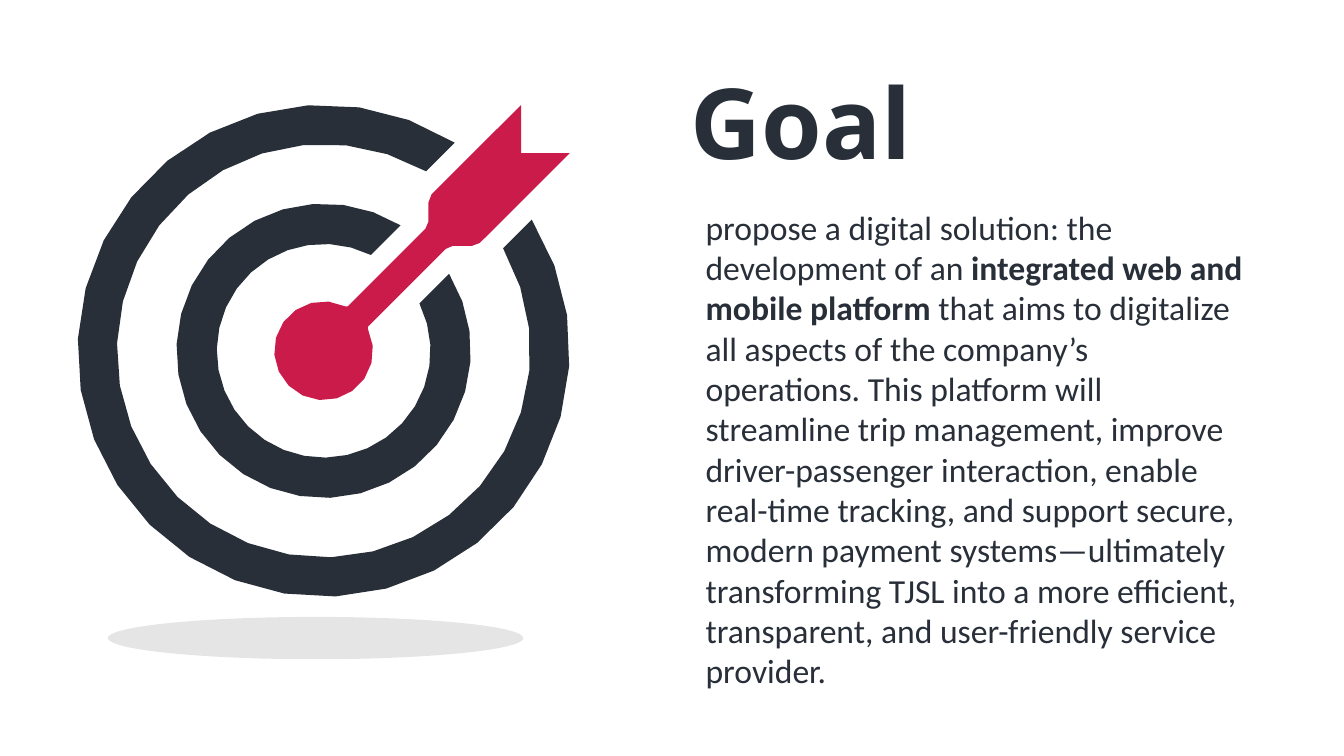
from dataclasses import dataclass
from math import asin, cos, degrees, radians, sin

from lxml.etree import SubElement
from pptx import Presentation
from pptx.dml.color import RGBColor
from pptx.enum.shapes import MSO_SHAPE as Preset
from pptx.enum.text import MSO_AUTO_SIZE as AutoSize, PP_ALIGN as Align
from pptx.oxml.ns import qn
from pptx.util import Inches, Pt


@dataclass(frozen=True)
class Theme:
    ink: RGBColor = RGBColor.from_string("282F39")
    accent: RGBColor = RGBColor.from_string("CB1B4A")
    shade: RGBColor = RGBColor.from_string("000000")
    shade_opacity: int = 10
    title_font: str = "Noto Sans"
    body_font: str = "Calibri"
    title_size: int = 70
    body_size: int = 24


CENTER_X, CENTER_Y = 3.21, 3.48
AIM = 45
BULL_RADIUS, BULL_GAP = 0.49, 19
RING_STEPS, BULL_STEPS = 28, 16
RINGS = [(2.44, 2.05, 0.54), (1.46, 1.06, 0.34)]
DART_SIDE = [(0.24, 0.44), (1.01, 1.21), (1.04, 1.28), (1.04, 1.47),
             (1.07, 1.55), (1.96, 2.44)]
DART_NOTCH = (1.96, 1.96)

GOAL = [
    ("propose a digital solution: the development of an ", False),
    ("integrated web and mobile platform", True),
    (" that aims to digitalize all aspects of the company’s operations. "
     "This platform will streamline trip management, improve "
     "driver-passenger interaction, enable real-time tracking, and support "
     "secure, modern payment systems—ultimately transforming TJSL into a "
     "more efficient, transparent, and user-friendly service provider.", False),
]


def apply(target, values):
    for name, value in values.items():
        setattr(target, name, value)


def open_arc(radius, gap, steps):
    angles = [radians(AIM + gap + (360 - 2 * gap) * i / steps)
              for i in range(steps + 1)]
    return [(radius * cos(a), radius * sin(a)) for a in angles]


def open_ring(outer, inner, half_gap):
    outside, inside = [
        open_arc(radius, degrees(asin(half_gap / radius)), RING_STEPS)
        for radius in (outer, inner)]
    return outside + inside[::-1]


def dart():
    bull = open_arc(BULL_RADIUS, BULL_GAP, BULL_STEPS)
    mirrored = [(y, x) for x, y in DART_SIDE]
    return bull + mirrored + [DART_NOTCH] + DART_SIDE[::-1]


class Painter:
    def __init__(self, page, theme):
        self.page = page
        self.theme = theme

    def paint(self, shape, color):
        shape.shadow.inherit = False
        shape.fill.solid()
        shape.fill.fore_color.rgb = color
        shape.line.fill.background()

    def ellipse(self, left, top, width, height, color, opacity):
        shape = self.page.shapes.add_shape(
            Preset.OVAL, Inches(left), Inches(top), Inches(width), Inches(height))
        self.paint(shape, color)
        tint = shape.fill._xPr.find(qn("a:solidFill"))[0]
        SubElement(tint, qn("a:alpha")).set("val", str(opacity * 1000))

    def outline(self, group, offsets, color):
        points = [(Inches(CENTER_X + x), Inches(CENTER_Y - y)) for x, y in offsets]
        builder = group.shapes.build_freeform(*points[0])
        builder.add_line_segments(points[1:], close=True)
        self.paint(builder.convert_to_shape(), color)

    def target(self):
        group = self.page.shapes.add_group_shape()
        for ring in RINGS:
            self.outline(group, open_ring(*ring), self.theme.ink)
        self.outline(group, dart(), self.theme.accent)

    def text(self, left, top, width, height, spans, font, size, align, wrap):
        box = self.page.shapes.add_textbox(
            Inches(left), Inches(top), Inches(width), Inches(height))
        apply(box.text_frame, {"word_wrap": wrap,
                               "auto_size": AutoSize.SHAPE_TO_FIT_TEXT})
        para = box.text_frame.paragraphs[0]
        para.alignment = align
        for words, bold in spans:
            span = para.add_run()
            span.text = words
            apply(span.font, {"name": font, "size": Pt(size), "bold": bold})
            span.font.color.rgb = self.theme.ink


def main():
    deck = Presentation()
    apply(deck, {"slide_width": Inches(13.33), "slide_height": Inches(7.5)})
    theme = Theme()
    painter = Painter(deck.slides.add_slide(deck.slide_layouts[6]), theme)
    painter.ellipse(1.07, 6.12, 4.12, 0.42, theme.shade, theme.shade_opacity)
    painter.text(6.68, 0.56, 2.53, 1.28, [("Goal", True)],
                 theme.title_font, theme.title_size, Align.CENTER, False)
    painter.target()
    painter.text(6.9, 2, 5.59, 4.95, GOAL,
                 theme.body_font, theme.body_size, Align.LEFT, True)
    deck.save("out.pptx")


if __name__ == "__main__":
    main()
